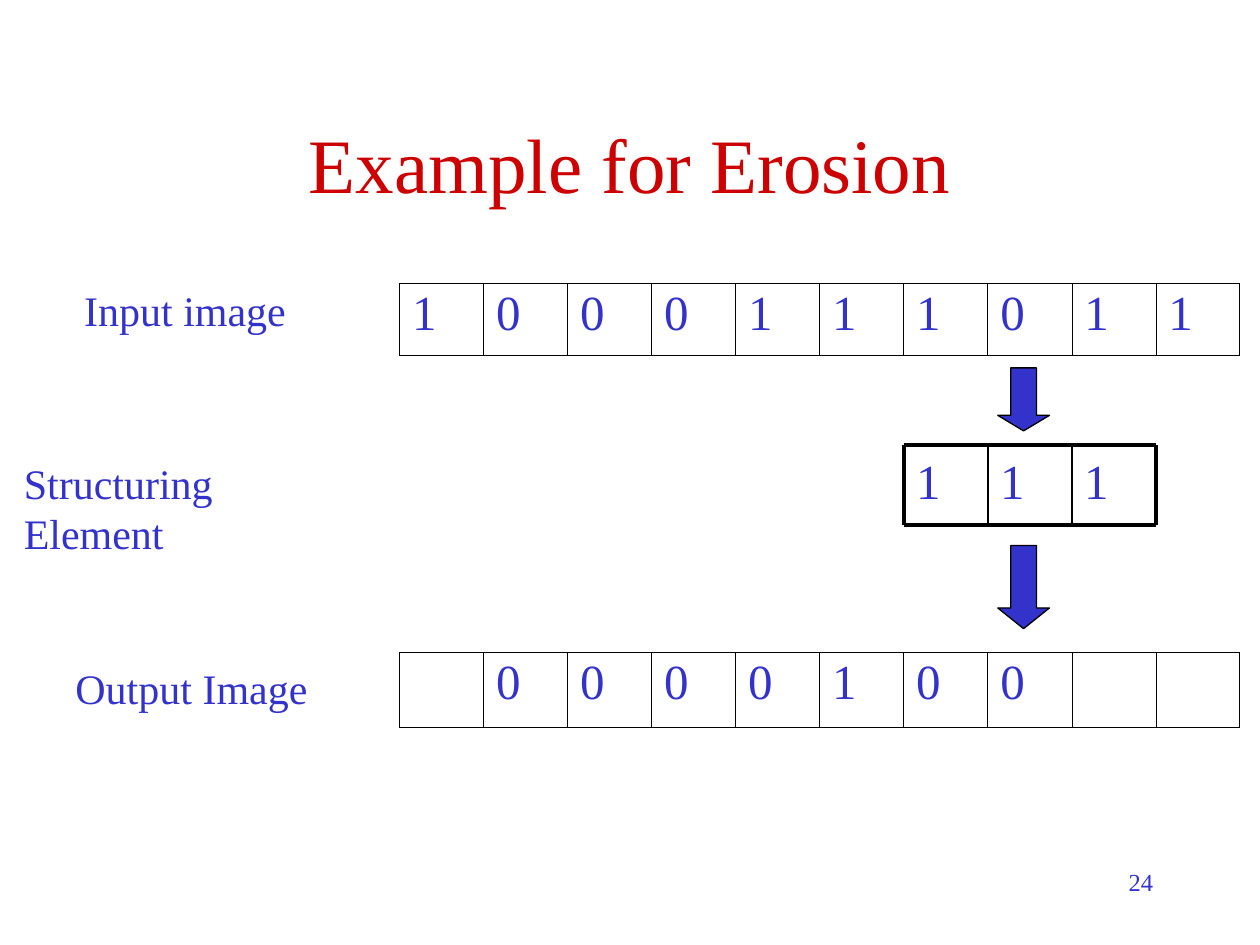
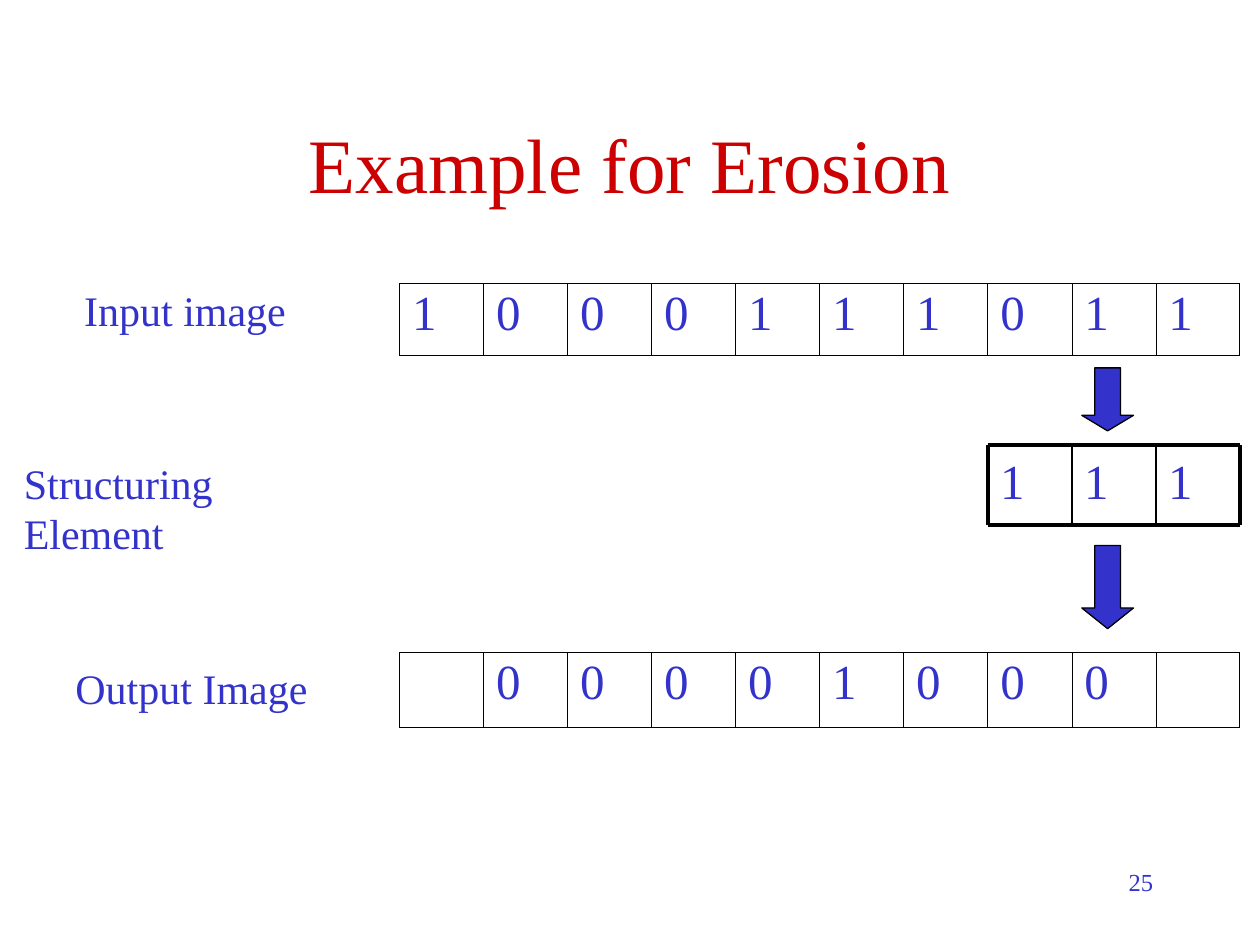
from dataclasses import dataclass

from lxml import etree
from pptx import Presentation
from pptx import util as u
from pptx.dml.color import RGBColor
from pptx.enum import shapes, text
from pptx.oxml import ns


@dataclass(frozen=True)
class Theme:
    """Colours, font and type sizes of both slides."""
    font: str = "Times New Roman"
    title: str = "CC0000"
    ink: str = "3333CC"
    line: str = "000000"
    title_size: int = 44
    pixel_size: int = 28
    label_size: int = 24
    number_size: int = 14
    outer: float = 0.5
    inner: float = 0.23
    frame: float = 2.25
    divider: float = 1
    arrow_line: float = 0.75


THEME = Theme()
INPUT = [1, 0, 0, 0, 1, 1, 1, 0, 1, 1]
ELEMENT = [1, 1, 1]
GRID_LEFT = 3.17
CELL = 6.67 / len(INPUT)
ELEMENT_TOP, ELEMENT_HEIGHT = 3.53, 0.64
LABELS = [("Input image", 0.57, 2.21, 1.8),
          ("Structuring Element", 0.09, 3.58, 2.89),
          ("Output Image", 0.5, 5.21, 2.04)]
ARROWS = [(4.33, 0.66, 0.4), (2.92, 0.5, 0.3)]


def box(left, top, width, height):
    """Turn inches into the position and size of a shape."""
    return [u.Inches(v) for v in (left, top, width, height)]


def column_left(col):
    """Return the left edge of a pixel column."""
    return GRID_LEFT + col * CELL


def erode(pixels, last):
    """Erode the pixels up to column last, leaving the rest empty."""
    out = [""] * len(pixels)
    for col in range(1, last + 1):
        out[col] = int(pixels[col - 1:col + 2] == ELEMENT)
    return out


def write(tf, value, size, color=THEME.ink, align=text.PP_ALIGN.LEFT):
    """Write one formatted paragraph and return it."""
    p = tf.paragraphs[0]
    p.text = str(value)
    p.alignment = align
    p.font.name = THEME.font
    p.font.size = u.Pt(size)
    p.font.color.rgb = RGBColor.from_string(color)
    return p


def add_title(s, value):
    """Place and format the title placeholder."""
    sp = s.shapes.title
    sp.left, sp.top, sp.width, sp.height = box(0.75, 0.67, 8.5, 1.25)
    sp.text_frame.vertical_anchor = text.MSO_ANCHOR.MIDDLE
    write(sp.text_frame, value, THEME.title_size, THEME.title,
          text.PP_ALIGN.CENTER)


def add_text(parent, value, place, size, wrap=True, align=text.PP_ALIGN.LEFT):
    """Add a text box to a slide or group."""
    tf = parent.shapes.add_textbox(*box(*place)).text_frame
    tf.word_wrap = wrap
    write(tf, value, size, align=align)


def set_borders(cell, first, last):
    """Draw the four borders of a cell, thinner between cells."""
    widths = {"L": THEME.outer if first else THEME.inner,
              "R": THEME.outer if last else THEME.inner,
              "T": THEME.outer, "B": THEME.outer}
    tcPr = cell._tc.get_or_add_tcPr()
    for side, width in widths.items():
        ln = etree.SubElement(tcPr, ns.qn(f"a:ln{side}"), w=str(u.Pt(width)))
        fill = etree.SubElement(ln, ns.qn("a:solidFill"))
        etree.SubElement(fill, ns.qn("a:srgbClr"), val=THEME.line)


def add_pixels(s, values, top, height):
    """Add a one-row table of pixel values."""
    place = box(GRID_LEFT, top, CELL * len(values), height)
    table = s.shapes.add_table(1, len(values), *place).table
    table.first_row = table.horz_banding = False
    for col, value in enumerate(values):
        table.columns[col].width = u.Inches(CELL)
        cell = table.cell(0, col)
        set_borders(cell, col == 0, col == len(values) - 1)
        cell.fill.background()
        write(cell.text_frame, value, THEME.pixel_size).line_spacing = 0.93


def add_line(parent, x1, y1, x2, y2, width):
    """Add a straight black line without a shadow."""
    ends = box(x1, y1, x2, y2)
    ln = parent.shapes.add_connector(shapes.MSO_CONNECTOR.STRAIGHT, *ends)
    ln.line.color.rgb = RGBColor.from_string(THEME.line)
    ln.line.width = u.Pt(width)
    etree.SubElement(ln._element.spPr, ns.qn("a:effectLst"))


def add_element(s, start):
    """Add the framed structuring element from column start on."""
    group = s.shapes.add_group_shape()
    end = start + len(ELEMENT)
    bottom = ELEMENT_TOP + ELEMENT_HEIGHT
    for col, value in enumerate(ELEMENT, start):
        place = (column_left(col), ELEMENT_TOP, CELL, ELEMENT_HEIGHT)
        add_text(group, value, place, THEME.pixel_size)
    for y in (ELEMENT_TOP, bottom):
        add_line(group, column_left(start), y, column_left(end), y, THEME.frame)
    for col in range(start, end + 1):
        x = column_left(col)
        width = THEME.frame if col in (start, end) else THEME.divider
        add_line(group, x, ELEMENT_TOP, x, bottom, width)


def add_arrow(s, col, top, height, head):
    """Add a down arrow in a pixel column."""
    place = box(column_left(col) + 0.08, top, 0.41, height)
    sp = s.shapes.add_shape(shapes.MSO_SHAPE.DOWN_ARROW, *place)
    sp.adjustments[0], sp.adjustments[1] = 0.5, head
    sp.shadow.inherit = False
    sp.fill.solid()
    sp.fill.fore_color.rgb = RGBColor.from_string(THEME.ink)
    sp.line.color.rgb = RGBColor.from_string(THEME.line)
    sp.line.width = u.Pt(THEME.arrow_line)


def add_step(prs, number, center):
    """Add the slide for the element centred on one pixel."""
    s = prs.slides.add_slide(prs.slide_layouts[5])
    add_title(s, "Example for Erosion")
    add_text(s, number, (7.17, 6.83, 2.08, 0.5), THEME.number_size,
             align=text.PP_ALIGN.RIGHT)
    add_pixels(s, INPUT, 2.25, 0.57)
    add_pixels(s, erode(INPUT, center), 5.18, 0.59)
    for value, left, top, width in LABELS:
        add_text(s, value, (left, top, width, 0.5), THEME.label_size, wrap=False)
    add_element(s, center - 1)
    for arrow in ARROWS:
        add_arrow(s, center, *arrow)


def main():
    """Build the two erosion steps."""
    prs = Presentation()
    prs.slide_width, prs.slide_height = u.Inches(10), u.Inches(7.5)
    for number, center in ((24, 7), (25, 8)):
        add_step(prs, number, center)
    prs.save("out.pptx")


if __name__ == "__main__":
    main()
